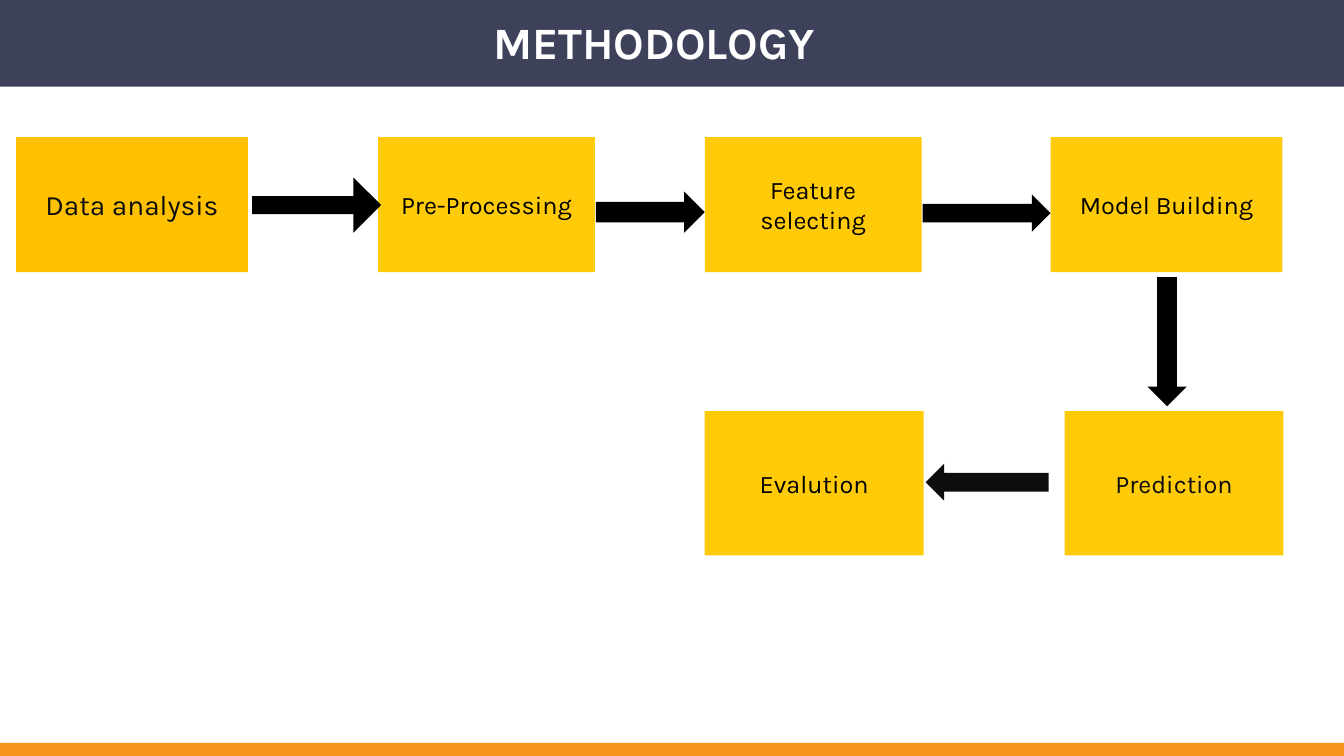
"""Build the methodology flow slide."""
from dataclasses import dataclass

from pptx import Presentation
from pptx.dml.color import RGBColor
from pptx.enum import shapes, text
from pptx.util import Inches, Pt

TITLE = "METHODOLOGY"
TITLE_BOX = (0.29, 0.1, 12.4, 0.64)


@dataclass(frozen=True)
class Theme:
    font: str = "Karla"
    navy: str = "3D415A"
    orange: str = "F8931D"
    amber: str = "FFC000"
    yellow: str = "FFCA08"
    black: str = "000000"
    ink: str = "0D0D0D"
    white: str = "FFFFFF"
    title_size: int = 32
    lead_size: int = 20
    step_size: int = 18


THEME = Theme()
RIGHT = shapes.MSO_SHAPE.RIGHT_ARROW
DOWN = shapes.MSO_SHAPE.DOWN_ARROW
LEFT = shapes.MSO_SHAPE.LEFT_ARROW

BANDS = [
    ((-0.01, 0, 13.35, 0.86), THEME.navy),
    ((-0.03, 7.37, 13.36, 0.16), THEME.orange),
]
ROWS = [
    (1.36, 1.34, [
        ("Data analysis", 0.16, 2.3, THEME.amber, THEME.ink, THEME.lead_size),
        ("Pre-Processing", 3.75, 2.15, THEME.yellow, THEME.black, THEME.step_size),
        ("Feature selecting", 6.99, 2.15, THEME.yellow, THEME.black, THEME.step_size),
        ("Model Building", 10.42, 2.3, THEME.yellow, THEME.black, THEME.step_size),
    ]),
    (4.08, 1.43, [
        ("Prediction", 10.56, 2.17, THEME.yellow, THEME.ink, THEME.step_size),
        ("Evalution", 6.99, 2.17, THEME.yellow, THEME.black, THEME.step_size),
    ]),
]
ARROWS = [
    (RIGHT, (2.5, 1.76, 1.28, 0.55), THEME.black, 0.324),
    (RIGHT, (5.91, 1.9, 1.08, 0.41), THEME.black, 0.5),
    (RIGHT, (9.15, 1.93, 1.27, 0.37), THEME.black, 0.5),
    (DOWN, (11.38, 2.75, 0.39, 1.28), THEME.black, 0.5),
    (LEFT, (9.18, 4.6, 1.22, 0.37), THEME.ink, 0.5),
]


def add_block(slide, kind, box, color):
    block = slide.shapes.add_shape(kind, *map(Inches, box))
    block.shadow.inherit = False
    block.fill.solid()
    block.fill.fore_color.rgb = RGBColor.from_string(color)
    block.line.fill.background()
    return block


def write(frame, words, *, size, color, bold=False, spacing=1.0,
          anchor=text.MSO_ANCHOR.MIDDLE):
    frame.word_wrap = True
    frame.auto_size = text.MSO_AUTO_SIZE.NONE
    frame.vertical_anchor = anchor
    line = frame.paragraphs[0]
    line.alignment = text.PP_ALIGN.CENTER
    line.line_spacing = spacing
    run = line.add_run()
    run.text = words
    run.font.name = THEME.font
    run.font.size = Pt(size)
    run.font.bold = bold
    run.font.color.rgb = RGBColor.from_string(color)


def main():
    deck = Presentation()
    deck.slide_width, deck.slide_height = Inches(13.33), Inches(7.5)
    slide = deck.slides.add_slide(deck.slide_layouts[5])

    for box, color in BANDS:
        add_block(slide, shapes.MSO_SHAPE.RECTANGLE, box, color)

    heading = slide.shapes.title
    heading.left, heading.top, heading.width, heading.height = map(Inches, TITLE_BOX)
    write(heading.text_frame, TITLE, size=THEME.title_size, color=THEME.white,
          bold=True, spacing=0.9, anchor=text.MSO_ANCHOR.BOTTOM)
    slide.shapes.element.append(heading.element)

    for top, height, steps in ROWS:
        for words, left, width, fill, ink, size in steps:
            step = add_block(slide, shapes.MSO_SHAPE.RECTANGLE,
                             (left, top, width, height), fill)
            write(step.text_frame, words, size=size, color=ink)

    for kind, box, color, shaft in ARROWS:
        arrow = add_block(slide, kind, box, color)
        arrow.adjustments[0] = shaft

    deck.save("out.pptx")


if __name__ == "__main__":
    main()
